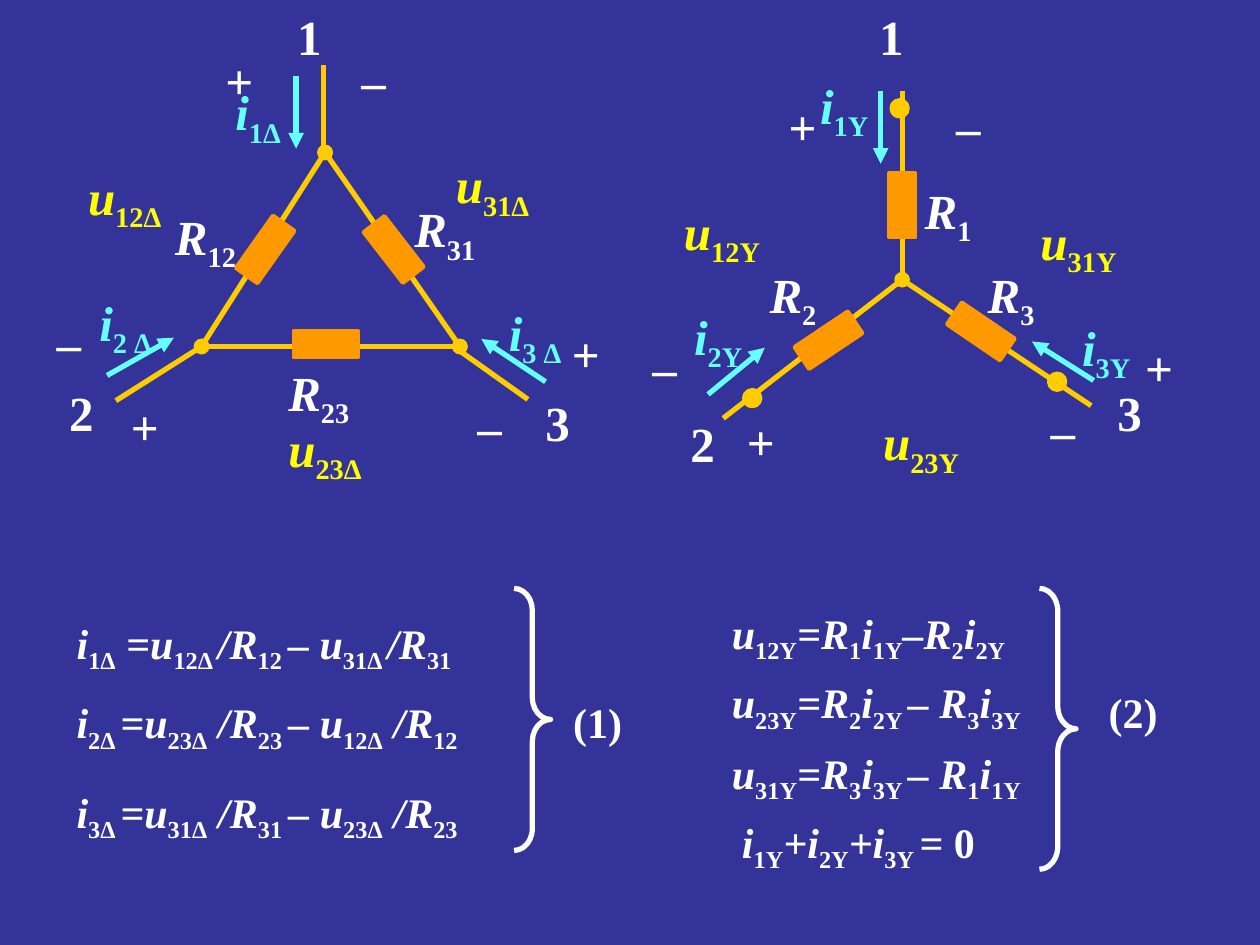
from collections import namedtuple

from lxml import etree
from pptx import Presentation
from pptx import util as u
from pptx.dml import color
from pptx.enum import shapes
from pptx.oxml import ns

COLUMNS, ROWS = 100, 75
CELL = u.Inches(0.1)
FONT = "Times New Roman"
NAVY, WHITE, GOLD = "333399", "FFFFFF", "FFCC00"
ORANGE, CYAN, YELLOW = "FF9900", "66FFFF", "FFFF00"
Box = namedtuple("Box", "left top width height")


def rgb(value):
    return color.RGBColor.from_string(value)


def cells(*lengths):
    return [round(length * CELL) for length in lengths]


def place(box, x, y, *size):
    return cells(box.left + x, box.top + y, *size)


def add_text(parent, box, at, content, size=28, ink=WHITE, italic=True,
             spacing=None, upright_tail=""):
    """Parts of content split by | alternate between normal and subscript."""
    frame = parent.add_textbox(*place(box, *at)).text_frame
    frame.word_wrap = True
    paragraph = frame.paragraphs[0]
    if spacing:
        paragraph.line_spacing = spacing
    pieces = [(part, italic and index % 2 == 0, index % 2 == 1)
              for index, part in enumerate(content.split("|"))]
    pieces.append((upright_tail, False, False))
    for part, slanted, lowered in pieces:
        if not part:
            continue
        run = paragraph.add_run()
        run.text = part
        font = run.font
        font.name, font.size, font.bold, font.italic = FONT, u.Pt(size), True, slanted
        font.color.rgb = rgb(ink)
        if lowered:
            font._element.set("baseline", "-25000")


def add_wire(parent, box, start, end, ink=GOLD, head=None, tail=None):
    wire = parent.add_connector(
        shapes.MSO_CONNECTOR.STRAIGHT, *place(box, *start), *place(box, *end))
    wire.line.color.rgb = rgb(ink)
    wire.line.width = u.Pt(3)
    outline = wire.line._get_or_add_ln()
    for tag, kind in (("a:headEnd", head), ("a:tailEnd", tail)):
        if kind:
            etree.SubElement(outline, ns.qn(tag)).set("type", kind)
    etree.SubElement(wire._element.spPr, ns.qn("a:effectLst"))


def add_part(parent, box, kind, at, fill, line, weight):
    part = parent.add_shape(kind, *place(box, *at))
    part.shadow.inherit = False
    if fill:
        part.fill.solid()
        part.fill.fore_color.rgb = rgb(fill)
    else:
        part.fill.background()
    part.line.color.rgb = rgb(line)
    part.line.width = u.Pt(weight)
    return part


def add_resistor(parent, box, x, y, angle):
    width, height = 2.1, 5.1
    at = (x - width / 2, y - height / 2, width, height)
    add_part(parent, box, shapes.MSO_SHAPE.RECTANGLE, at, ORANGE, ORANGE,
             2.25).rotation = angle


def add_terminal(parent, box, x, y):
    size = 1.2
    at = (x - size / 2, y - size / 2, size, size)
    add_part(parent, box, shapes.MSO_SHAPE.OVAL, at, GOLD, GOLD, 3)


def add_labels(parent, box, labels, **style):
    for content, x, y, width in labels:
        add_text(parent, box, (x, y, width, 5.7), content, **style)


def add_currents(parent, box, arrows):
    for start, end in arrows:
        add_wire(parent, box, start, end, CYAN, tail="triangle")


def draw_delta(slide, box):
    circuit = slide.shapes.add_group_shape().shapes
    top, left, right = (25.8, 12.1), (16, 27.5), (36.5, 27.5)
    for start, end in ((left, right), (right, top), (top, left)):
        add_wire(circuit, box, start, end, head="oval", tail="oval")
    for start, end in (((25.7, 12.1), (25.7, 5.2)), (left, (9.2, 31.8)),
                       ((36, 27.5), (41.9, 31.7))):
        add_wire(circuit, box, start, end)
    for resistor in ((25.85, 27.3, 270), (31.25, 19.8, 322.2), (21.05, 19.8, 35.3)):
        add_resistor(circuit, box, *resistor)
    add_currents(circuit, box, (((23.5, 6), (23.5, 11.8)),
                                ((8.5, 29.8), (13.8, 26.8)),
                                ((43.3, 30.3), (38.2, 26.9))))
    add_labels(circuit, box, (("R|12", 12.9, 15.9, 9.2), ("R|31", 31.9, 15.3, 8),
                              ("R|23", 21.9, 28.3, 8.7)))
    add_labels(circuit, box, (("i|1Δ", 17.7, 6, 8.3), ("i|2 Δ", 6.9, 22.7, 7.5),
                              ("i|3 Δ", 39.4, 23.5, 7.2)), ink=CYAN)
    add_labels(circuit, box, (("u|12Δ", 6, 12.7, 9.5), ("u|23Δ", 21.9, 32.7, 11),
                              ("u|31Δ", 35.2, 11.8, 9.4)), ink=YELLOW)
    add_labels(circuit, box, (
        ("1", 22.6, 0, 5), ("2", 4.5, 29.9, 3.3), ("3", 42.3, 30.7, 4.2),
        ("+", 16.9, 3.5, 4.2), ("+", 9.4, 31, 4.2), ("+", 44.4, 25.2, 4.2),
        ("–", 27.7, 3.5, 4.2), ("–", 3.5, 24.3, 4.2), ("–", 36.9, 31, 4.2)),
        italic=False)


def draw_star(slide, box):
    circuit = slide.shapes.add_group_shape().shapes
    centre = (21.6, 22.2)
    add_wire(circuit, box, (21.6, 7.2), centre, tail="oval")
    for end in ((7.4, 33.2), (36.6, 32.2)):
        add_wire(circuit, box, centre, end)
    for resistor in ((15.75, 27, 56.2), (27.85, 26.3, 304.3), (21.6, 16.3, 0)):
        add_resistor(circuit, box, *resistor)
    add_currents(circuit, box, (((19.9, 7.2), (19.9, 13)),
                                ((6.2, 31.3), (10.7, 27.6)),
                                ((36.8, 30.2), (31.9, 27.1))))
    for terminal in ((9.7, 31.6), (21.4, 8.6), (33.9, 30.3)):
        add_terminal(circuit, box, *terminal)
    add_labels(circuit, box, (("R|1", 22.4, 13.8, 8.2), ("R|2", 10.1, 20.5, 8),
                              ("R|3", 27.4, 20.5, 7.1)))
    add_labels(circuit, box, (("i|1Y", 14.1, 5.5, 7.5), ("i|2Y", 4.1, 23.8, 7.5),
                              ("i|3Y", 34.9, 24.7, 6.7)), ink=CYAN)
    add_labels(circuit, box, (("u|12Y", 3.3, 15.5, 10.8), ("u|23Y", 19.1, 32.2, 9.9),
                              ("u|31Y", 31.6, 16.3, 10)), ink=YELLOW)
    add_labels(circuit, box, (
        ("1", 18.8, 0, 3.3), ("2", 3.8, 32.3, 4.2), ("3", 37.7, 29.9, 3.3),
        ("+", 11.6, 7.2, 4.2), ("+", 8.3, 32.2, 4.2), ("+", 39.9, 26.3, 4.2),
        ("–", 0.8, 26.3, 4.2), ("–", 32.4, 31.3, 4.2), ("–", 24.9, 7.2, 4.2)),
        italic=False)


def draw_equations(slide, box, equations, brace_at, curl, number, number_at):
    for content, at, style in equations:
        add_text(slide.shapes, box, at, content, size=24, **style)
    brace = add_part(slide.shapes, box, shapes.MSO_SHAPE.RIGHT_BRACE, brace_at,
                     None, WHITE, 3)
    brace.adjustments[0], brace.adjustments[1] = curl, 0.5
    add_text(slide.shapes, box, number_at, number, size=24, italic=False)


def main():
    deck = Presentation()
    deck.slide_width, deck.slide_height = cells(COLUMNS, ROWS)
    slide = deck.slides.add_slide(deck.slide_layouts[6])
    slide.background.fill.solid()
    slide.background.fill.fore_color.rgb = rgb(NAVY)

    half, split = COLUMNS / 2, ROWS * 0.6
    tight = {"spacing": 0.7}
    draw_equations(slide, Box(0, split, half, ROWS - split), (
        ("i|1Δ| =u|12Δ |/R|12 |– u|31Δ |/R|31", (5.1, 3.5, 37.5, 5), {}),
        ("i|2Δ |=u|23Δ  |/R|23 |– u|12Δ  |/R|12", (5.1, 9.8, 34.7, 5), {}),
        ("i|3Δ |=u|31Δ  |/R|31 |– u|23Δ  |/R|23", (5.1, 17.7, 36.4, 3.8), tight),
    ), (40.8, 1.7, 2.9, 20.8), 0.6, "(1)", (44.5, 9.8, 6.7, 5))
    draw_equations(slide, Box(half, split, half, ROWS - split), (
        ("u|12Y|=R|1|i|1Y|–R|2|i|2Y", (7.1, 3.5, 28.3, 3.8), tight),
        ("u|23Y|=R|2|i|2Y |– R|3|i|3Y", (7.1, 8.2, 27.4, 5), {}),
        ("u|31Y|=R|3|i|3Y |– R|1|i|1Y", (7.1, 13.8, 28.2, 5), {}),
        ("i|1Y|+i|2Y|+i|3Y |= ", (7.9, 19.3, 24.1, 5), {"upright_tail": "0"}),
    ), (32.5, 1.7, 2.9, 22.3), 0.63, "(2)", (37, 9, 6.7, 5))
    draw_delta(slide, Box(0, 0, half, split))
    draw_star(slide, Box(half, 0, half, split))
    deck.save("out.pptx")


if __name__ == "__main__":
    main()
